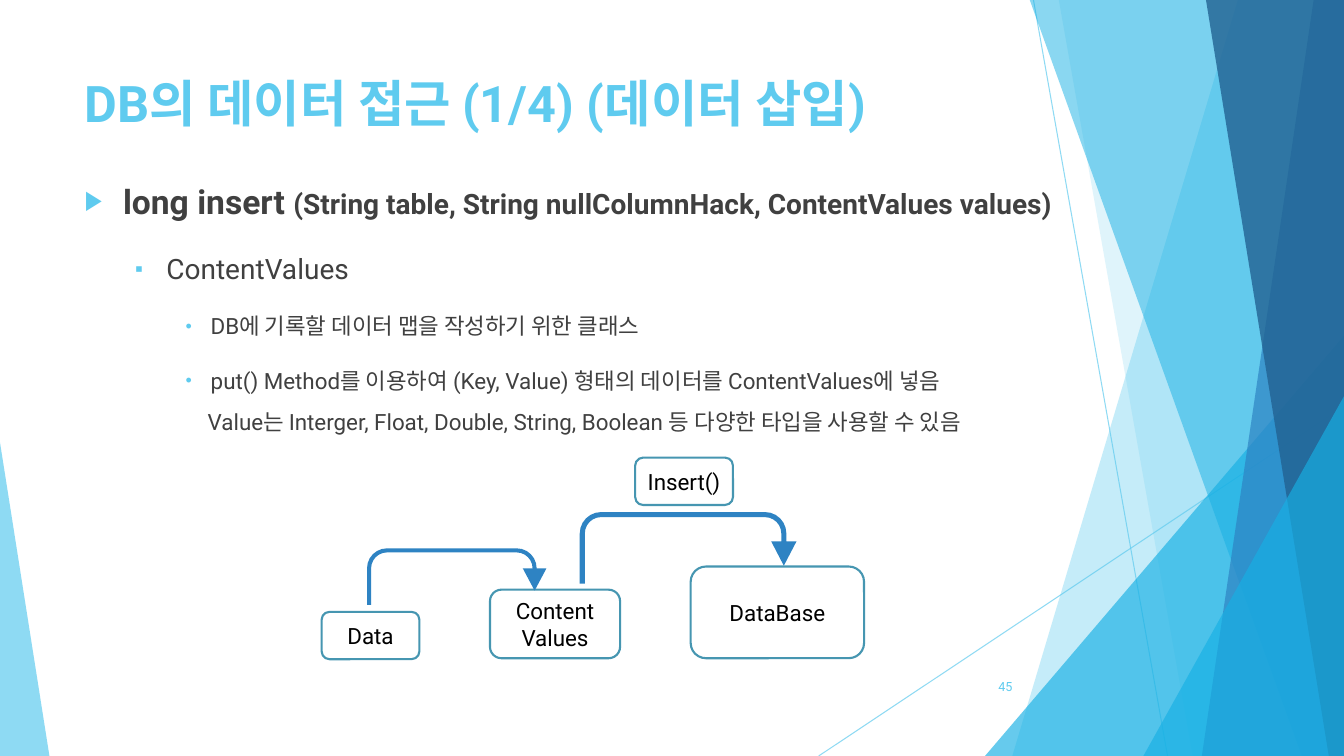
from lxml.etree import SubElement
from pptx import Presentation
from pptx.dml.color import RGBColor
from pptx.enum.shapes import MSO_CONNECTOR, MSO_SHAPE
from pptx.enum.text import MSO_ANCHOR, MSO_AUTO_SIZE, PP_ALIGN
from pptx.oxml.ns import qn
from pptx.util import Inches, Pt

FONT = "Roboto"
COLORS = {"sky": "5FCBEF", "cyan": "17B0E4", "blue": "2E83C3", "navy": "226292",
          "outline": "4696B1", "text": "404040", "black": "000000"}

TITLE = "DB의 데이터 접근 (1/4) (데이터 삽입)"
PAGE_NUMBER = "45"
# level, bullet, left margin, hanging indent, line spacing, runs of (text, size, bold)
BODY = [
    (0, "▶", 0.38, 0.38, 1.5, [
        ("long insert ", 24, True),
        ("(String table, String nullColumnHack, ContentValues values)", 20, True)]),
    (1, "▪", 0.81, 0.31, 1.5, [("ContentValues", 20, False)]),
    (2, "•", 1.25, 0.25, 1.5, [("DB에 기록할 데이터 맵을 작성하기 위한 클래스", 16, False)]),
    (2, "•", 1.25, 0.25, 1.5, [
        ("put() Method를 이용하여 (Key, Value) 형태의 데이터를 ContentValues에 넣음", 16, False)]),
    (2, None, 1.22, 0, 1.0, [
        ("Value는 Interger, Float, Double, String, Boolean 등 다양한 타입을 사용할 수 있음", 16, False)]),
]
BOXES = [
    ("Data", (3.19, 6.07, 0.97, 0.47)),
    ("Content\nValues", (4.86, 5.85, 1.29, 0.68)),
    ("DataBase", (6.85, 5.62, 1.72, 0.91)),
    ("Insert()", (6.3, 4.54, 0.97, 0.47)),
]
ARROWS = [
    ((3.64, 5.44, 1.78, 0.56), (0.073, 0.21, 0.396, 0.438, 0.75)),
    ((5.75, 5.08, 2.15, 0.71), (0.071, 0.177, 0.341, 0.299, 0.75)),
]
THIN_LINES = [(10.25, 0, 11.58, 7.5), (13.33, 4.03, 8.12, 7.5)]
# Bands run to the right edge: left edge at the top, left edge at the bottom, colour, opacity
# Triangles: box, position of the apex, colour, opacity
FACETS = [
    ("band", (12.28, 10.04), "sky", 36),
    ("band", (10.5, 11.83), "sky", 20),
    ("triangle", ((9.77, 3.33, 3.56, 4.17), 1), "cyan", 66),
    ("band", (10.21, 12.91), "cyan", 50),
    ("band", (13.03, 11.92), "blue", 70),
    ("band", (11.96, 13.18), "navy", 80),
    ("triangle", ((11.34, 3.93, 1.99, 3.57), 1), "cyan", 66),
    ("triangle", ((0, 4.39, 0.49, 3.11), 0), "sky", 70),
]
WIDTH, HEIGHT = 13.33, 7.5


def rgb(name):
    return RGBColor.from_string(COLORS[name])


def place(shape, box):
    shape.left, shape.top, shape.width, shape.height = map(Inches, box)


def set_opacity(color_format_parent, percent):
    color = next(color_format_parent.iter(qn("a:srgbClr")))
    SubElement(color, qn("a:alpha"), val=str(percent * 1000))


def style(font, size, color, bold=False):
    font.name, font.size, font.bold = FONT, Pt(size), bold
    font.color.rgb = rgb(color)


def add_preset(shapes, kind, box, adjustments=()):
    shape = shapes.add_shape(kind, *map(Inches, box))
    shape.shadow.inherit = False
    for i, value in enumerate(adjustments):
        shape.adjustments[i] = value
    return shape


def fill_plain(shape, color):
    shape.fill.solid()
    shape.fill.fore_color.rgb = rgb(color)
    shape.line.fill.background()


def add_backdrop(shapes):
    for x1, y1, x2, y2 in THIN_LINES:
        line = shapes.add_connector(MSO_CONNECTOR.STRAIGHT, *map(Inches, (x1, y1, x2, y2)))
        line.line.width = Pt(0.75)
        line.line.color.rgb = rgb("sky")
        properties = line._element.spPr
        set_opacity(properties, 70)
        SubElement(properties, qn("a:effectLst"))
    for kind, geometry, color, opacity in FACETS:
        if kind == "band":
            top_x, bottom_x = geometry
            builder = shapes.build_freeform(Inches(top_x), Inches(-0.01))
            corners = [(WIDTH, -0.01), (WIDTH, HEIGHT), (bottom_x, HEIGHT)]
            builder.add_line_segments([(Inches(x), Inches(y)) for x, y in corners])
            facet = builder.convert_to_shape()
            facet.shadow.inherit = False
        else:
            box, apex = geometry
            facet = add_preset(shapes, MSO_SHAPE.ISOSCELES_TRIANGLE, box, [apex])
        fill_plain(facet, color)
        set_opacity(facet._element.spPr, opacity)


def set_bullet(paragraph, char, margin, hanging):
    properties = paragraph._p.get_or_add_pPr()
    properties.set("marL", str(Inches(margin)))
    properties.set("indent", str(-Inches(hanging)))
    if char is None:
        SubElement(properties, qn("a:buNone"))
        return
    SubElement(SubElement(properties, qn("a:buClr")), qn("a:srgbClr"), val=COLORS["sky"])
    SubElement(properties, qn("a:buSzPct"), val="80000")
    SubElement(properties, qn("a:buFont"), typeface="Arial")
    SubElement(properties, qn("a:buChar"), char=char)


def fill_title(title):
    place(title, (0.74, 0.67, 9.4, 1.44))
    frame = title.text_frame
    frame.text = TITLE
    frame.auto_size = MSO_AUTO_SIZE.NONE
    frame.vertical_anchor = MSO_ANCHOR.TOP
    frame.paragraphs[0].alignment = PP_ALIGN.LEFT
    style(frame.paragraphs[0].runs[0].font, 36, "sky", True)


def fill_body(body):
    place(body, (0.74, 1.54, 10.31, 4.99))
    frame = body.text_frame
    frame.auto_size = MSO_AUTO_SIZE.NONE
    frame.vertical_anchor = MSO_ANCHOR.TOP
    for i, (level, char, margin, hanging, spacing, runs) in enumerate(BODY):
        paragraph = frame.add_paragraph() if i else frame.paragraphs[0]
        paragraph.level = level
        set_bullet(paragraph, char, margin, hanging)
        paragraph.line_spacing = spacing
        paragraph.space_before = Pt(10 if i else 0)
        for text, size, bold in runs:
            run = paragraph.add_run()
            run.text = text
            style(run.font, size, "text", bold)


def add_diagram(shapes):
    for label, box in BOXES:
        node = add_preset(shapes, MSO_SHAPE.ROUNDED_RECTANGLE, box)
        node.fill.background()
        node.line.color.rgb = rgb("outline")
        node.line.width = Pt(1.5)
        frame = node.text_frame
        frame.text = label
        frame.word_wrap = False
        frame.vertical_anchor = MSO_ANCHOR.MIDDLE
        for paragraph in frame.paragraphs:
            paragraph.alignment = PP_ALIGN.CENTER
            style(paragraph.runs[0].font, 16, "black")
    for box, adjustments in ARROWS:
        fill_plain(add_preset(shapes, MSO_SHAPE.U_TURN_ARROW, box, adjustments), "blue")


def add_page_number(shapes):
    frame = shapes.add_textbox(*map(Inches, (9.39, 6.61, 0.75, 0.4))).text_frame
    frame.text = PAGE_NUMBER
    frame.word_wrap = True
    frame.vertical_anchor = MSO_ANCHOR.MIDDLE
    frame.paragraphs[0].alignment = PP_ALIGN.RIGHT
    style(frame.paragraphs[0].runs[0].font, 9, "sky")


def main():
    deck = Presentation()
    deck.slide_width, deck.slide_height = Inches(WIDTH), Inches(HEIGHT)
    slide = deck.slides.add_slide(deck.slide_layouts[1])
    shapes = slide.shapes
    title, body = shapes.title, slide.placeholders[1]
    add_backdrop(shapes)
    for placeholder in (title, body):  # bring the text in front of the backdrop
        shapes._spTree.append(placeholder._element)
    fill_title(title)
    fill_body(body)
    add_diagram(shapes)
    add_page_number(shapes)
    deck.save("out.pptx")


if __name__ == "__main__":
    main()
